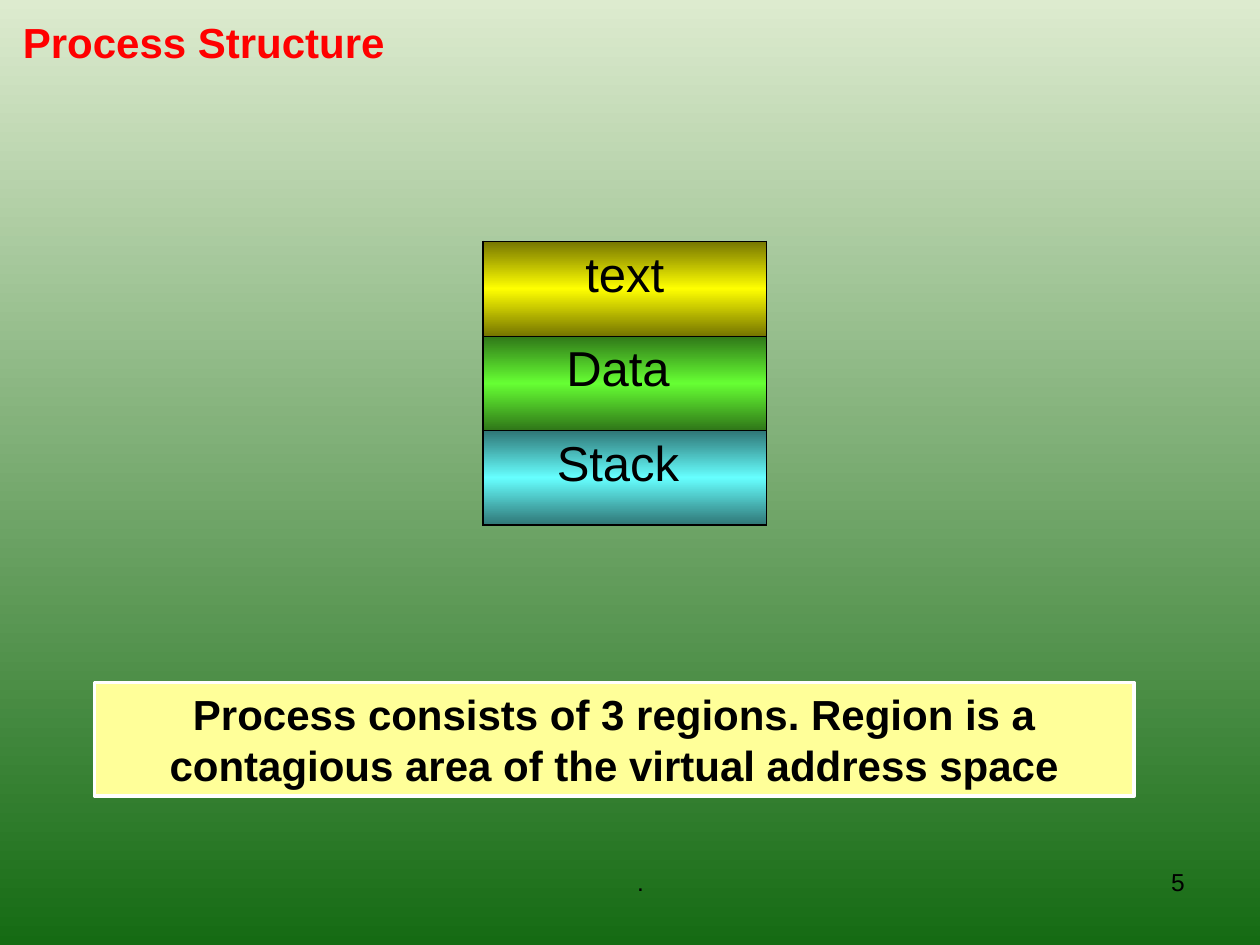
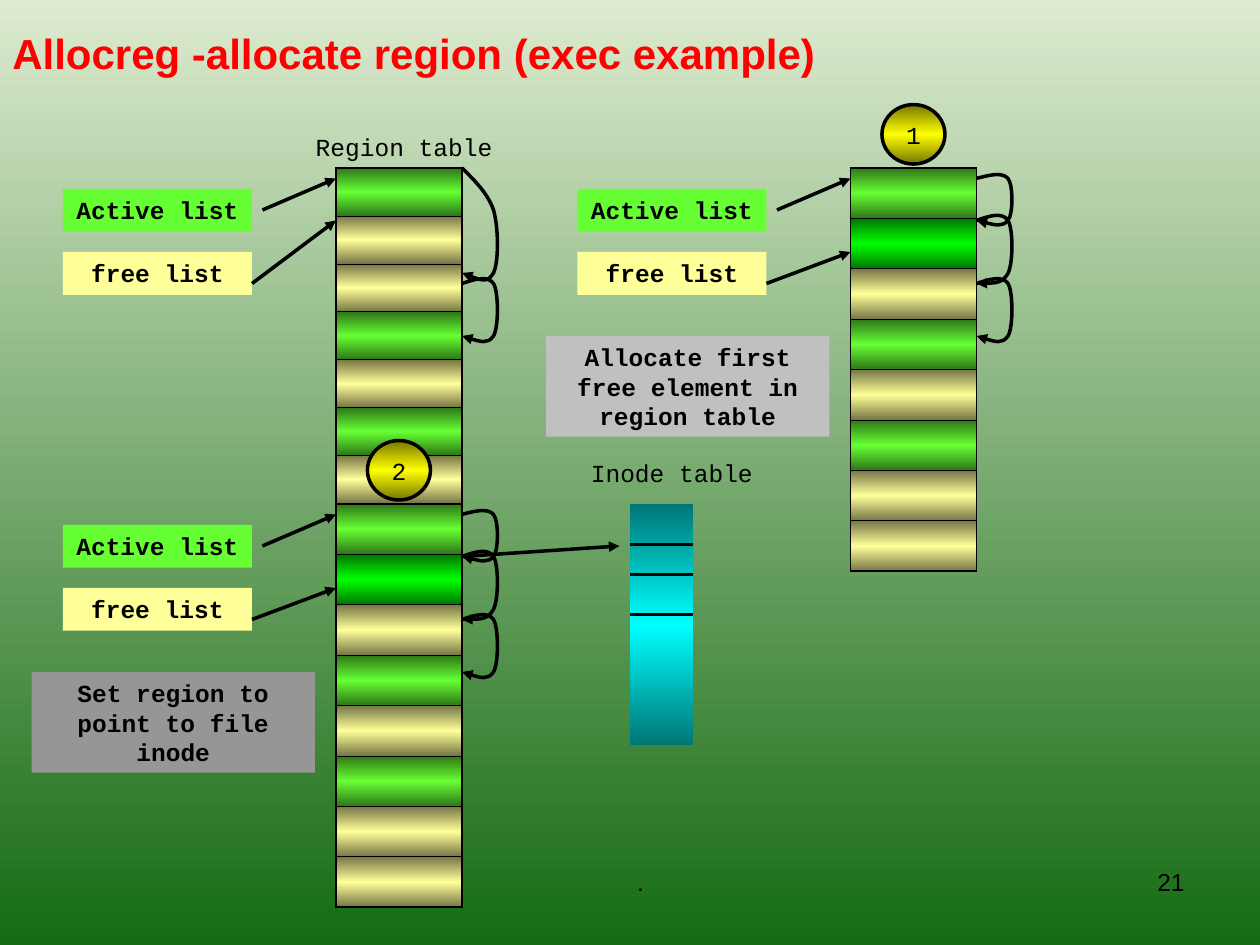
from copy import deepcopy
from dataclasses import dataclass

from lxml import etree
from pptx import Presentation
from pptx.dml.color import RGBColor
from pptx.enum import shapes, text
from pptx.oxml import ns
from pptx.util import Pt


@dataclass(frozen=True)
class Theme:
    sans: str = "Arial"
    mono: str = "Courier New"
    ink: str = "000000"
    title: str = "FF0000"
    white: str = "FFFFFF"
    green: str = "66FF33"
    cream: str = "FFFF99"
    light_note: str = "C0C0C0"
    dark_note: str = "969696"
    background: tuple = ("DDEBCF", "156B13")
    yellow_bar: tuple = ("767600", "FFFF00", "767600")
    green_bar: tuple = ("2F7618", "66FF33", "2F7618")
    aqua_bar: tuple = ("2F7676", "66FFFF", "2F7676")
    cream_bar: tuple = ("767647", "FFFF99", "767647")
    fresh_bar: tuple = ("007600", "00FF00", "007600")
    cyan_bar: tuple = ("007676", "00FFFF", "007676")
    heading_size: float = 24
    region_size: float = 28
    small_size: float = 14
    stroke: float = 2
    outer_border: float = 1.08
    inner_border: float = 0.45


# Loop outlines as three Bezier pieces: reach to the right in points,
# and depth as a share of the distance between the two ends.
LOOP_REACH = (0, 7.2, 14.7, 18, 21, 21, 18, 14.7, 7.2, 0)
HOOK = (0, -0.08, -0.16, 0, 0.16, 0.84, 1, 1.16, 1.08, 1)
SAG = (0, -0.07, -0.14, 0, 0.14, 0.67, 0.84, 1, 1, 1)
DROP = (0, 0.12, 0.24, 0.4, 0.57, 0.9, 1, 1.1, 1.05, 1)


def rgb(color):
    return RGBColor.from_string(color)


def paint(fill, owner, colors):
    """Fill with one colour, or with a top-to-bottom gradient from a tuple."""
    if isinstance(colors, str):
        fill.solid()
        fill.fore_color.rgb = rgb(colors)
        return
    fill.gradient()
    fill.gradient_angle = 270
    stop_list = owner.find(".//" + ns.qn("a:gsLst"))
    while len(stop_list) < len(colors):
        stop_list.append(deepcopy(stop_list[0]))
    for index, (stop, color) in enumerate(zip(fill.gradient_stops, colors)):
        stop.position = index / (len(colors) - 1)
        stop.color.rgb = rgb(color)


def add_border(cell, side, color, width):
    line = etree.SubElement(cell._tc.get_or_add_tcPr(), ns.qn("a:ln" + side), w=str(Pt(width)))
    solid = etree.SubElement(line, ns.qn("a:solidFill"))
    etree.SubElement(solid, ns.qn("a:srgbClr"), val=color)


class Painter:
    def __init__(self, deck, theme):
        self.deck = deck
        self.theme = theme
        self.page = None
        master = deck.slide_master
        paint(master.background.fill, master._element, theme.background)

    def new_page(self, title, x, y, number):
        self.page = self.deck.slides.add_slide(self.deck.slide_layouts[6])
        theme = self.theme
        footer = dict(size=theme.small_size, font=theme.sans)
        self.label(".", 252, 492, 228, 37.5, **footer)
        self.label(str(number), 516, 492, 168, 37.5, align="RIGHT", **footer)
        self.label(title, x, y, 612, 60, size=theme.heading_size, font=theme.sans,
                   color=theme.title, bold=True, align="LEFT", anchor="MIDDLE")

    def put_text(self, frame, words, size=None, font=None, color=None, bold=False,
                 align="CENTER", anchor="TOP"):
        theme = self.theme
        frame.word_wrap = True
        frame.vertical_anchor = getattr(text.MSO_ANCHOR, anchor)
        para = frame.paragraphs[0]
        para.alignment = getattr(text.PP_ALIGN, align)
        span = para.add_run()
        span.text = words
        span.font.size = Pt(size or theme.small_size)
        span.font.name = font or theme.mono
        span.font.bold = bold
        span.font.color.rgb = rgb(color or theme.ink)

    def label(self, words, x, y, width, height, **style):
        box = self.page.shapes.add_textbox(Pt(x), Pt(y), Pt(width), Pt(height))
        self.put_text(box.text_frame, words, **style)

    def block(self, x, y, width, height, fill, words=None, kind="RECTANGLE", line=None, **style):
        box = self.page.shapes.add_shape(getattr(shapes.MSO_SHAPE, kind),
                                         Pt(x), Pt(y), Pt(width), Pt(height))
        box.shadow.inherit = False
        paint(box.fill, box._element, fill)
        if line:
            self.stroke(box, color=line)
        else:
            box.line.fill.background()
        if words:
            self.put_text(box.text_frame, words, **style)

    def stroke(self, shape, color=None, width=None, arrow=False):
        shape.line.color.rgb = rgb(color or self.theme.ink)
        shape.line.width = Pt(width or self.theme.stroke)
        if arrow:
            outline = shape._element.spPr.find(ns.qn("a:ln"))
            etree.SubElement(outline, ns.qn("a:tailEnd"), type="triangle")

    def line(self, x1, y1, x2, y2, width=None, arrow=False):
        connector = self.page.shapes.add_connector(
            shapes.MSO_CONNECTOR.STRAIGHT, Pt(x1), Pt(y1), Pt(x2), Pt(y2))
        self.stroke(connector, width=width, arrow=arrow)
        etree.SubElement(connector._element.spPr, ns.qn("a:effectLst"))

    def loop(self, x, top, bottom, depths):
        """Draw a curved arrow that leaves x at top and returns at bottom."""
        points = [(Pt(x + reach), Pt(top + depth * (bottom - top)))
                  for reach, depth in zip(LOOP_REACH, depths)]
        builder = self.page.shapes.build_freeform(*points[0])
        builder.add_line_segments(points[1:], close=False)
        curve = builder.convert_to_shape()
        curve.shadow.inherit = False
        curve.fill.background()
        self.stroke(curve, arrow=True)
        segments = list(curve._element.iter(ns.qn("a:lnTo")))
        for start in range(0, len(segments), 3):
            bezier = etree.SubElement(segments[start].getparent(), ns.qn("a:cubicBezTo"))
            for segment in segments[start:start + 3]:
                bezier.append(segment[0])
                segment.getparent().remove(segment)

    def column(self, x, y, width, row_height, fills, words=()):
        """Draw a one-column table with a gradient in each row."""
        theme = self.theme
        count = len(fills)
        table = self.page.shapes.add_table(
            count, 1, Pt(x), Pt(y), Pt(width), Pt(row_height * count)).table
        table.first_row = table.horz_banding = False
        for index, fill in enumerate(fills):
            table.rows[index].height = Pt(row_height)
            cell = table.cell(index, 0)
            if words:
                self.put_text(cell.text_frame, words[index],
                              size=theme.region_size, font=theme.sans)
            else:
                cell.margin_top = cell.margin_bottom = 0
            inner, outer = theme.inner_border, theme.outer_border
            widths = dict(L=outer, R=outer, T=inner if index else outer,
                          B=inner if index < count - 1 else outer)
            for side, border in widths.items():
                add_border(cell, side, theme.ink, border)
            paint(cell.fill, cell._tc, fill)


def region_panel(painter, dx, dy, row_height, second_row, free_target, loops,
                 step=None, note=None, note_fill=None):
    """Draw a region table with its list pointers, links and optional step."""
    theme = painter.theme
    used, free = theme.green_bar, theme.cream_bar
    painter.column(192 + dx, 96 + dy, 72, row_height,
                   [used, second_row, free, used, free, used, free, free])
    for words, y, fill in (("Active list", 108, theme.green), ("free list", 144, theme.cream)):
        painter.block(36 + dx, y + dy, 108, 24.5, fill, words, bold=True)
    painter.line(150 + dx, 120 + dy, 192 + dx, 102 + dy, arrow=True)
    painter.line(144 + dx, 162 + dy, 192 + dx, free_target + dy, arrow=True)
    for top, bottom, depths in loops:
        painter.loop(264 + dx, top + dy, bottom + dy, depths)
    if step:
        painter.block(18 + dx, 192 + dy, 162, 57.6, note_fill, note, bold=True)
        painter.block(210 + dx, 59.75 + dy, 36, 34, theme.yellow_bar, step,
                      kind="OVAL", line=theme.ink, anchor="MIDDLE")


def process_structure(painter):
    theme = painter.theme
    painter.new_page("Process Structure", 6, -6, 5)
    painter.column(276, 138, 162, 54, [theme.yellow_bar, theme.green_bar, theme.aqua_bar],
                   ["text", "Data ", "Stack "])
    painter.block(54, 390, 594, 65, theme.cream,
                  "Process consists of 3 regions. Region is a contagious area of the "
                  "virtual address space",
                  line=theme.white, size=theme.heading_size, font=theme.sans, bold=True)


def allocate_region(painter):
    theme = painter.theme
    painter.new_page("Allocreg -allocate region (exec example)", 0, 0, 21)
    region_panel(painter, 0, 0, 27.4, theme.cream_bar, 126,
                 [(96, 156, DROP), (162, 192, HOOK)])
    linked = [(162, 192, HOOK), (102, 126, HOOK), (126, 162, SAG)]
    region_panel(painter, 294, 0, 28.8, theme.fresh_bar, 144, linked,
                 "1", "Allocate first free element in region table", theme.light_note)
    region_panel(painter, 0, 192, 28.8, theme.fresh_bar, 144, linked,
                 "2", "Set region to point to file inode", theme.dark_note)
    painter.line(264, 318, 354, 312, arrow=True)
    painter.block(360, 288, 36, 138, theme.cyan_bar)
    for y in (311, 328.25, 351.25):
        painter.line(360, y, 396, y, width=1.75)
    painter.label("Inode table", 330, 258, 108, 24.5)
    painter.label("Region table", 162, 72, 138, 24.5)


def main():
    deck = Presentation()
    deck.slide_width, deck.slide_height = Pt(720), Pt(540)
    painter = Painter(deck, Theme())
    process_structure(painter)
    allocate_region(painter)
    deck.save("out.pptx")


if __name__ == "__main__":
    main()
